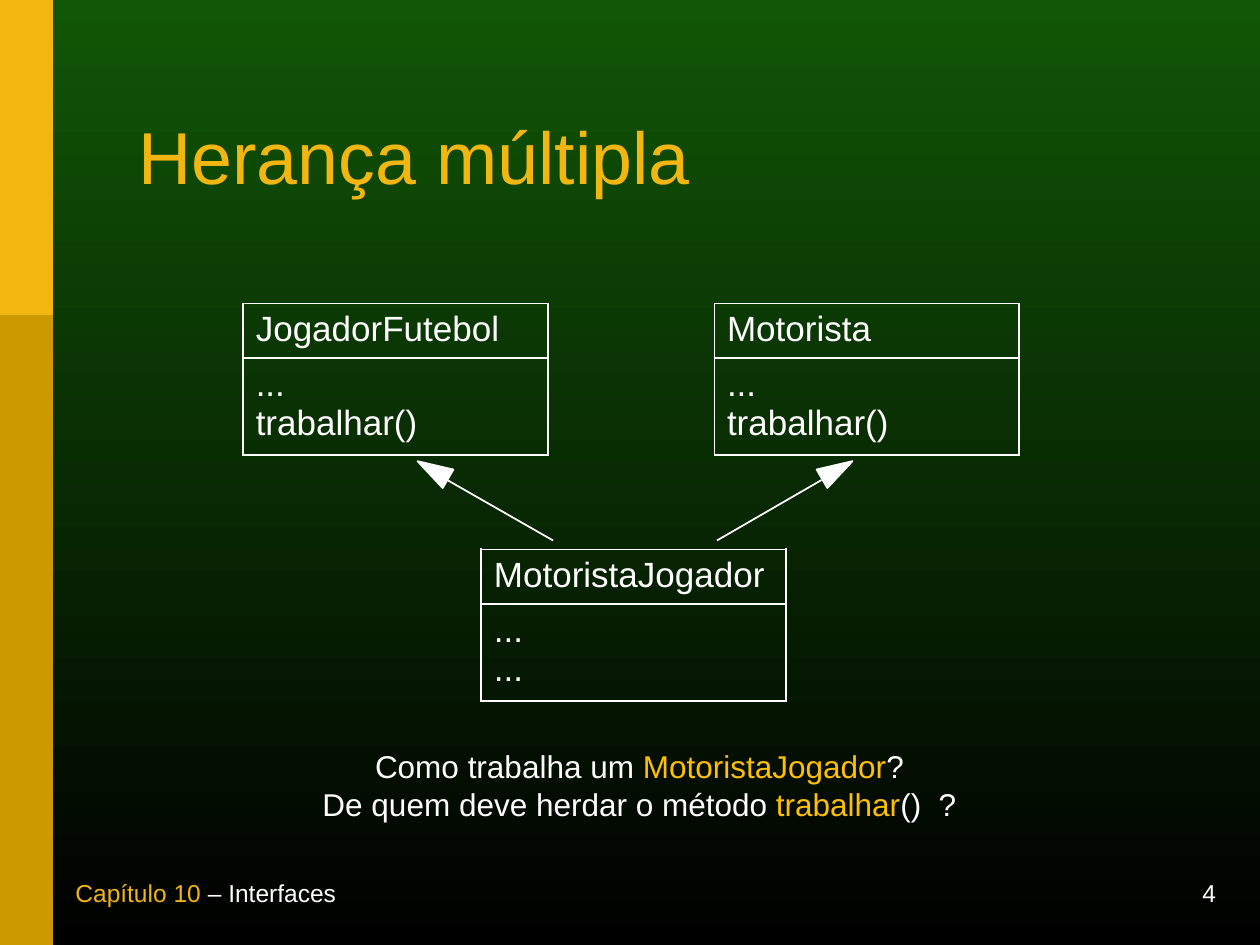
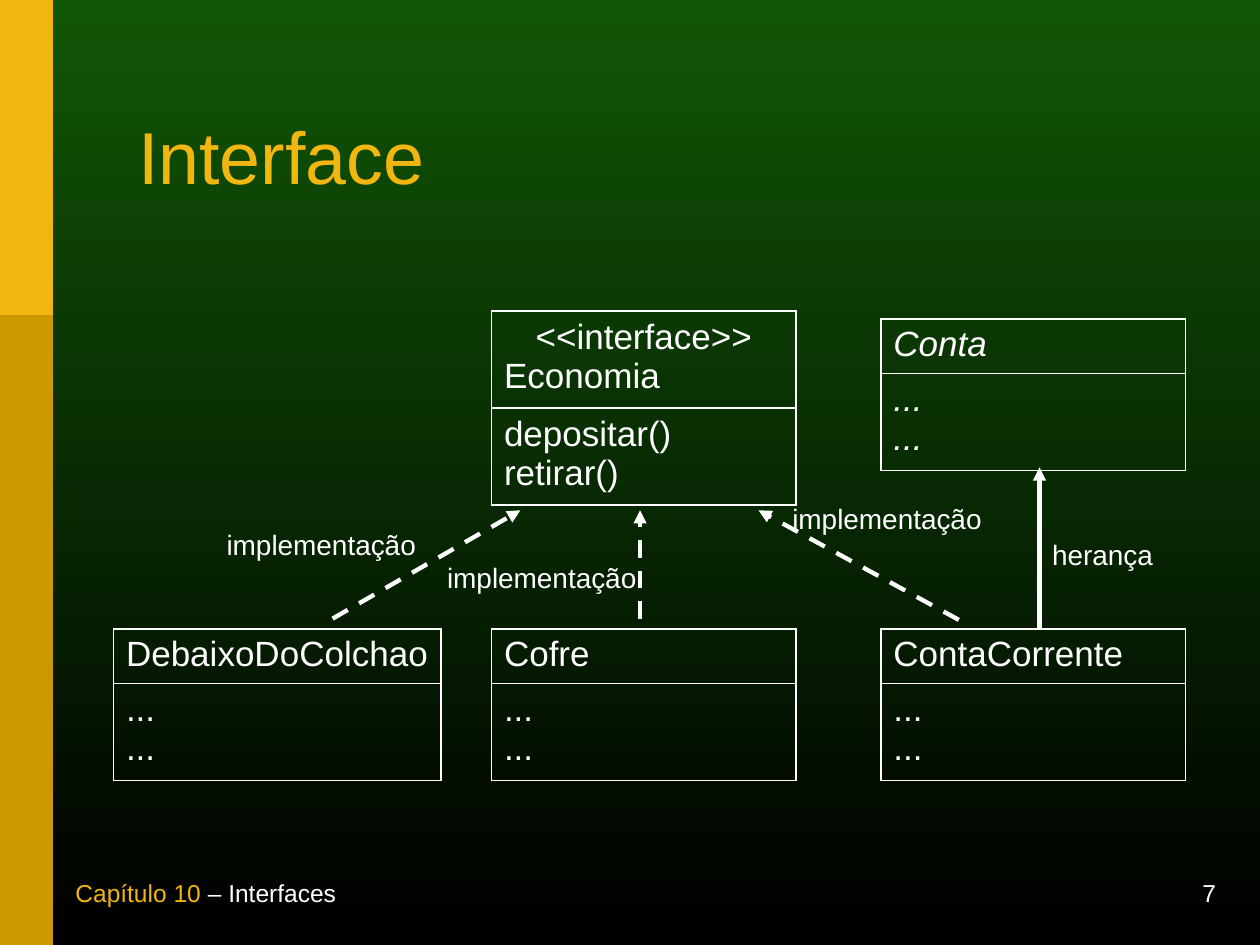
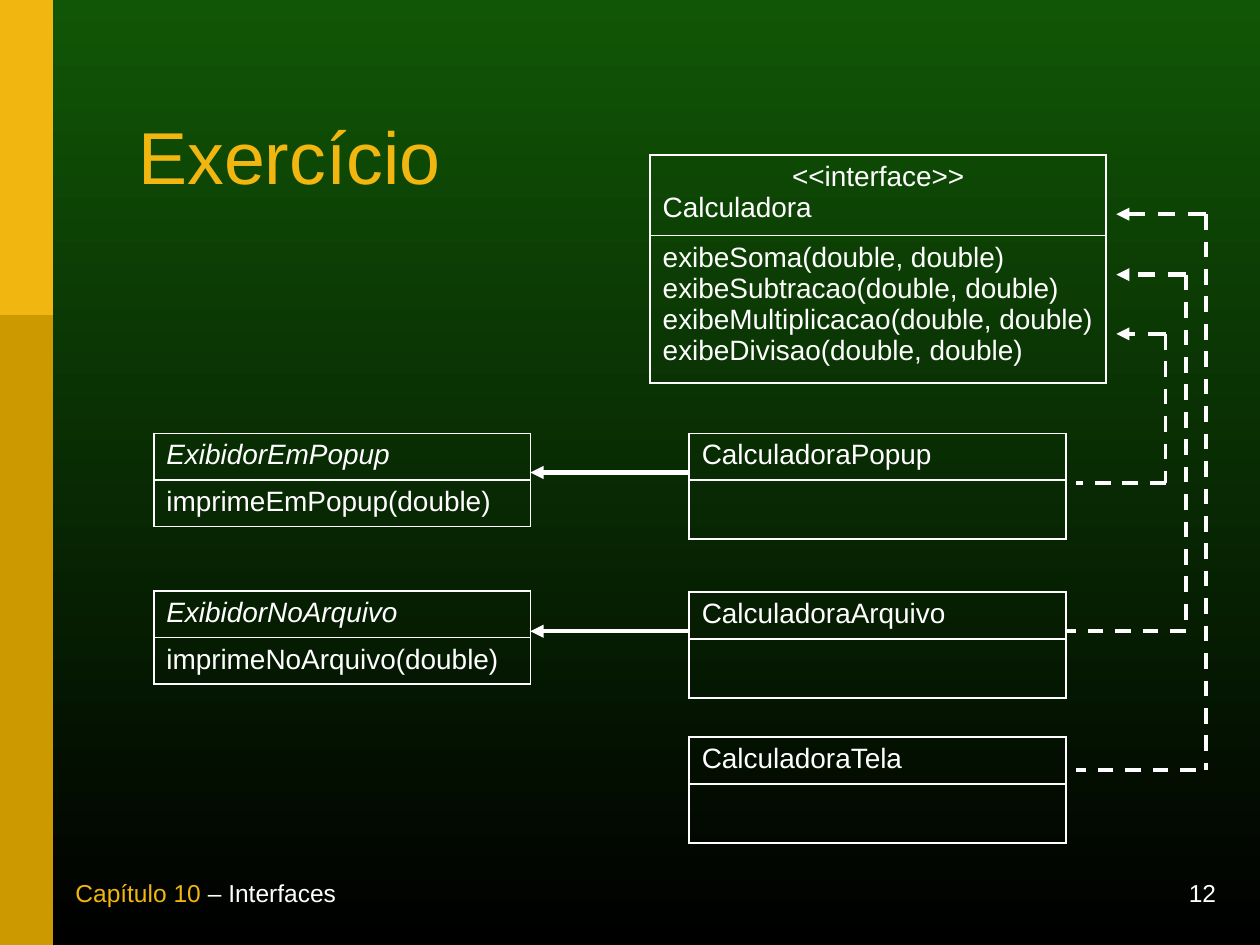
from lxml import etree
from pptx import Presentation
from pptx.dml.color import RGBColor
from pptx.enum.dml import MSO_LINE
from pptx.enum.shapes import MSO_CONNECTOR, MSO_SHAPE
from pptx.enum.text import MSO_ANCHOR, PP_ALIGN
from pptx.oxml.ns import qn
from pptx.util import Inches, Pt

WHITE = RGBColor(0xFF, 0xFF, 0xFF)
GOLD = RGBColor(0xF1, 0xB6, 0x0F)
DARK_GOLD = RGBColor(0xCC, 0x99, 0x00)
AMBER = RGBColor(0xFF, 0xC0, 0x00)
GREEN = RGBColor(0x11, 0x56, 0x06)
BLACK = RGBColor(0, 0, 0)

FONT = "Arial"
LEFT, CENTER, RIGHT = PP_ALIGN.LEFT, PP_ALIGN.CENTER, PP_ALIGN.RIGHT
TOP, MIDDLE, BOTTOM = MSO_ANCHOR.TOP, MSO_ANCHOR.MIDDLE, MSO_ANCHOR.BOTTOM
STRAIGHT, DASH = MSO_CONNECTOR.STRAIGHT, MSO_LINE.DASH
RECTANGLE, TRIANGLE = MSO_SHAPE.RECTANGLE, MSO_SHAPE.ISOSCELES_TRIANGLE

FOOTER = [("Capítulo 10", GOLD), (" – Interfaces", WHITE)]
STEREOTYPE = "<<interface>>"
DOTS = "...\v..."  # \v is a line break inside one paragraph
WORK = "...\vtrabalhar()"

# Content: class boxes are (left, top, width, row heights, head, body),
# labels are (left, top, width, height, size, paragraphs of (text, colour)),
# arrows are (start, end, dashed), triangles are (left, top, rotation),
# routes are (column, top, bottom, start of lower arm, end of lower arm)
SMALL, TALL = (0.43, 0.77), (0.77, 0.77)
EXHIBITOR, CALCULATOR = (0.37, 0.37), (0.37, 0.47)

SLIDES = [
    {
        "title": "Herança múltipla", "number": 4, "size": 20,
        "classes": [
            (5.67, 2.41, 2.42, SMALL, ["Motorista"], [WORK]),
            (1.93, 2.41, 2.42, SMALL, ["JogadorFutebol"], [WORK]),
            (3.82, 4.36, 2.42, SMALL, ["MotoristaJogador"], [DOTS]),
        ],
        "triangles": [(3.35, 3.59, 300), (6.56, 3.59, 60)],
        "plain_lines": [((3.55, 3.81), (4.39, 4.29)),
                        ((6.52, 3.81), (5.69, 4.29))],
        "labels": [
            (2.46, 5.88, 5.23, 0.7, 18, [
                [("Como trabalha um ", WHITE), ("MotoristaJogador", AMBER),
                 ("?", WHITE)],
                [("De quem deve herdar o método ", WHITE),
                 ("trabalhar", AMBER), ("()  ?", WHITE)],
            ]),
        ],
    },
    {
        "title": "Interface", "number": 7, "size": 20,
        "classes": [
            (6.99, 2.53, 2.42, SMALL, ["Conta"], [DOTS]),
            (3.9, 2.47, 2.42, TALL, [STEREOTYPE, "Economia"],
             ["depositar()", "retirar()"]),
            (6.99, 4.99, 2.42, SMALL, ["ContaCorrente"], [DOTS]),
            (3.9, 4.99, 2.42, SMALL, ["Cofre"], [DOTS]),
            (0.9, 4.99, 2.6, SMALL, ["DebaixoDoColchao"], [DOTS]),
        ],
        "italic": {("Conta", 0), ("Conta", 1)},
        "arrows": [
            ((8.25, 4.99), (8.25, 3.71), False),
            ((7.61, 4.92), (6.02, 4.05), True),
            ((5.08, 4.91), (5.08, 4.05), True),
            ((2.64, 4.91), (4.13, 4.05), True),
        ],
        "labels": [
            (left, top, width, 0.37, 16, [[(text, WHITE)]])
            for left, top, width, text in [
                (1.7, 4.14, 1.7, "implementação"),
                (3.45, 4.4, 1.7, "implementação"),
                (6.19, 3.93, 1.7, "implementação"),
                (8.25, 4.22, 1, "herança"),
            ]
        ],
    },
    {
        "title": "Exercício", "number": 12, "size": 16,
        "classes": [
            (5.16, 1.23, 3.62, (0.64, 1.17), [STEREOTYPE, "Calculadora"],
             [f"exibe{name}(double, double)" for name in
              ("Soma", "Subtracao", "Multiplicacao", "Divisao")]),
            (1.22, 3.44, 2.99, EXHIBITOR, ["ExibidorEmPopup"],
             ["imprimeEmPopup(double)"]),
            (1.22, 4.69, 2.99, EXHIBITOR, ["ExibidorNoArquivo"],
             ["imprimeNoArquivo(double)"]),
            (5.47, 3.44, 2.99, CALCULATOR, ["CalculadoraPopup"], []),
            (5.47, 4.7, 2.99, CALCULATOR, ["CalculadoraArquivo"], []),
            (5.47, 5.85, 2.99, CALCULATOR, ["CalculadoraTela"], []),
        ],
        "italic": {("ExibidorEmPopup", 0), ("ExibidorNoArquivo", 0)},
        "arrows": [((5.47, y), (4.21, y), False) for y in (3.75, 5.01)],
        "routes": [
            (9.57, 1.7, 6.11, 9.49, 8.54),
            (9.41, 2.18, 5.01, 9.41, 8.46),
            (9.25, 2.65, 3.83, 9.25, 8.54),
        ],
    },
]
ROUTE_TIP = 8.86


def apply(target, **formats):
    for name, value in formats.items():
        setattr(target, name, value)


def add_text(page, area, paragraphs, size, align=LEFT, anchor=TOP,
             wrap=True, spacing=None):
    box = page.shapes.add_textbox(*map(Inches, area))
    frame = box.text_frame
    apply(frame, word_wrap=wrap, vertical_anchor=anchor)
    for index, spans in enumerate(paragraphs):
        para = frame.add_paragraph() if index else frame.paragraphs[0]
        apply(para, alignment=align, line_spacing=spacing)
        for text, color in spans:
            span = para.add_run()
            span.text = text
            apply(span.font, name=FONT, size=Pt(size))
            span.font.color.rgb = color


def add_filled(page, kind, area, color, rotation=0, outline=None):
    shape = page.shapes.add_shape(kind, *map(Inches, area))
    shape.shadow.inherit = False
    shape.rotation = rotation
    shape.fill.solid()
    shape.fill.fore_color.rgb = color
    if outline:
        shape.line.color.rgb = color
        shape.line.width = Pt(outline)
    else:
        shape.line.fill.background()


def add_line(page, start, end, width, dashed=False, arrow=False):
    line = page.shapes.add_connector(STRAIGHT, *map(Inches, (*start, *end)))
    line.line.color.rgb = WHITE
    line.line.width = Pt(width)
    if dashed:
        line.line.dash_style = DASH
    properties = line._element.spPr
    if arrow:
        etree.SubElement(properties.find(qn("a:ln")), qn("a:tailEnd"),
                         type="triangle")
    etree.SubElement(properties, qn("a:effectLst"))


def add_borders(cell):
    properties = cell._tc.get_or_add_tcPr()
    for index, side in enumerate(("lnL", "lnR", "lnT", "lnB")):
        border = etree.Element(qn(f"a:{side}"), w=str(Pt(1.08)))
        fill = etree.SubElement(border, qn("a:solidFill"))
        etree.SubElement(fill, qn("a:srgbClr"), val=str(WHITE))
        properties.insert(index, border)


def add_class(page, left, top, width, heights, head, body, size, italics):
    area = map(Inches, (left, top, width, sum(heights)))
    table = page.shapes.add_table(2, 1, *area).table
    apply(table, first_row=False, horz_banding=False)
    for row, (height, lines) in enumerate(zip(heights, (head, body))):
        table.rows[row].height = Inches(height)
        cell = table.cell(row, 0)
        cell.fill.background()
        add_borders(cell)
        frame = cell.text_frame
        for index, text in enumerate(lines):
            para = frame.add_paragraph() if index else frame.paragraphs[0]
            para.text = text
            para.alignment = CENTER if text == STEREOTYPE else LEFT
            for span in para.runs:
                apply(span.font, name=FONT, size=Pt(size),
                      italic=(head[-1], row) in italics)
                span.font.color.rgb = WHITE


def add_frame(page, title, number):
    # Background, side bands, footer and title shared by all slides
    fill = page.background.fill
    fill.gradient()
    fill.gradient_angle = 270
    for stop, color, position in zip(fill.gradient_stops, (GREEN, BLACK),
                                     (0, 1)):
        stop.color.rgb = color
        stop.position = position
    add_filled(page, RECTANGLE, (0, 0, 0.42, 7.5), DARK_GOLD)
    add_filled(page, RECTANGLE, (0, 0, 0.42, 2.5), GOLD)
    add_text(page, (7.25, 7, 2.5, 0.25), [[(str(number), WHITE)]], 14,
             align=RIGHT, anchor=BOTTOM)
    add_text(page, (0.5, 7, 4.42, 0.25), [FOOTER], 14, anchor=BOTTOM)
    add_text(page, (1, 0.64, 8.24, 1.29), [[(title, GOLD)]], 42,
             anchor=MIDDLE, spacing=0.85)


deck = Presentation()
deck.slide_width, deck.slide_height = Inches(10), Inches(7.5)

for content in SLIDES:
    page = deck.slides.add_slide(deck.slide_layouts[6])
    add_frame(page, content["title"], content["number"])

    # Class boxes
    for entry in content["classes"]:
        add_class(page, *entry, content["size"], content.get("italic", ()))

    # Inheritance and implementation arrows
    for left, top, rotation in content.get("triangles", ()):
        add_filled(page, TRIANGLE, (left, top, 0.17, 0.28), WHITE,
                   rotation, outline=0.99)
    for start, end in content.get("plain_lines", ()):
        add_line(page, start, end, 0.99)
    for start, end, dashed in content.get("arrows", ()):
        add_line(page, start, end, 2.49, dashed, arrow=True)
    for column, top, bottom, arm_start, arm_end in content.get("routes", ()):
        add_line(page, (column, top), (ROUTE_TIP, top), 2.49, True, True)
        add_line(page, (column, top), (column, bottom), 2.24, True)
        add_line(page, (arm_start, bottom), (arm_end, bottom), 2.24, True)

    # Labels
    for *area, size, paragraphs in content.get("labels", ()):
        add_text(page, area, paragraphs, size, align=CENTER, wrap=False)

deck.save("out.pptx")
